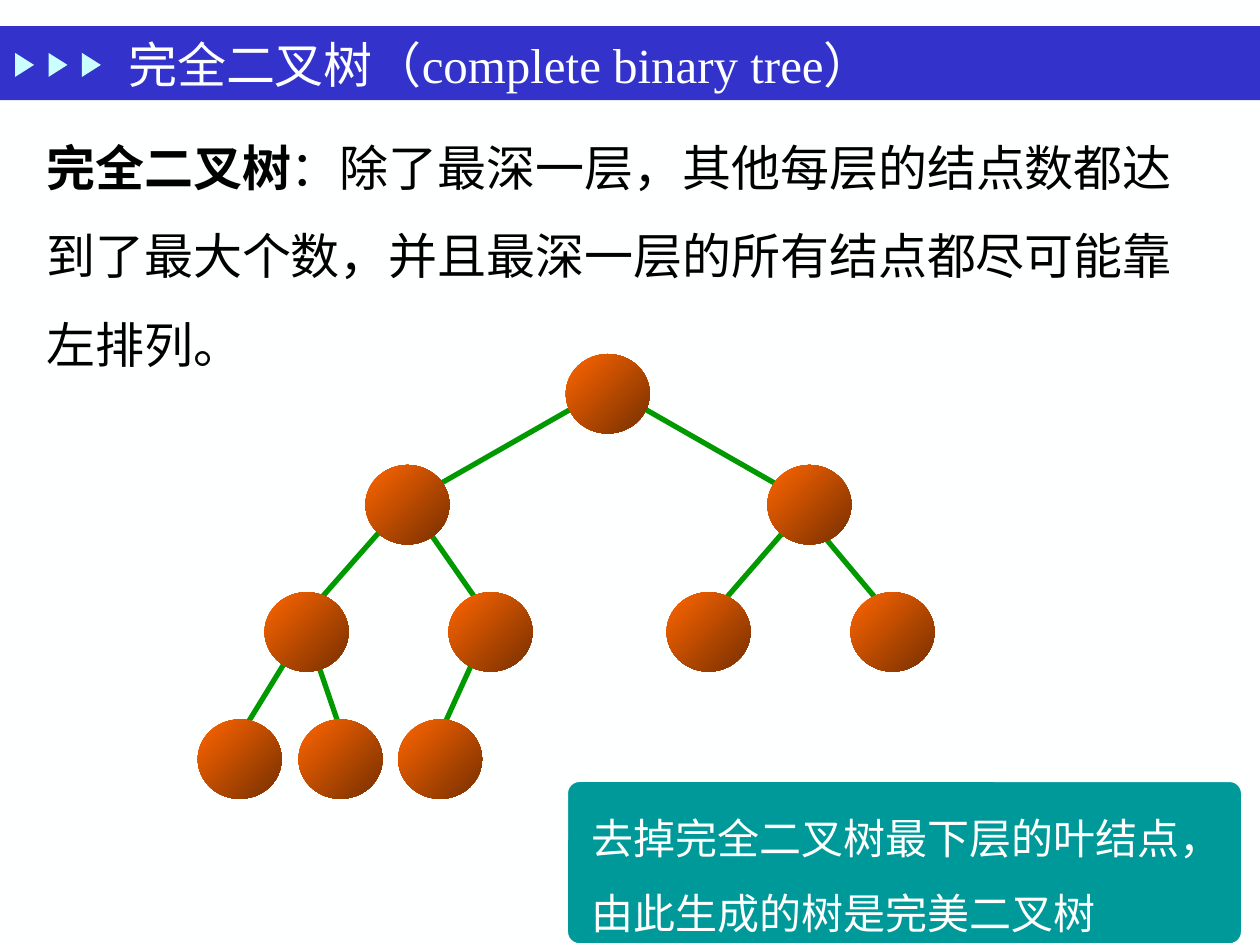
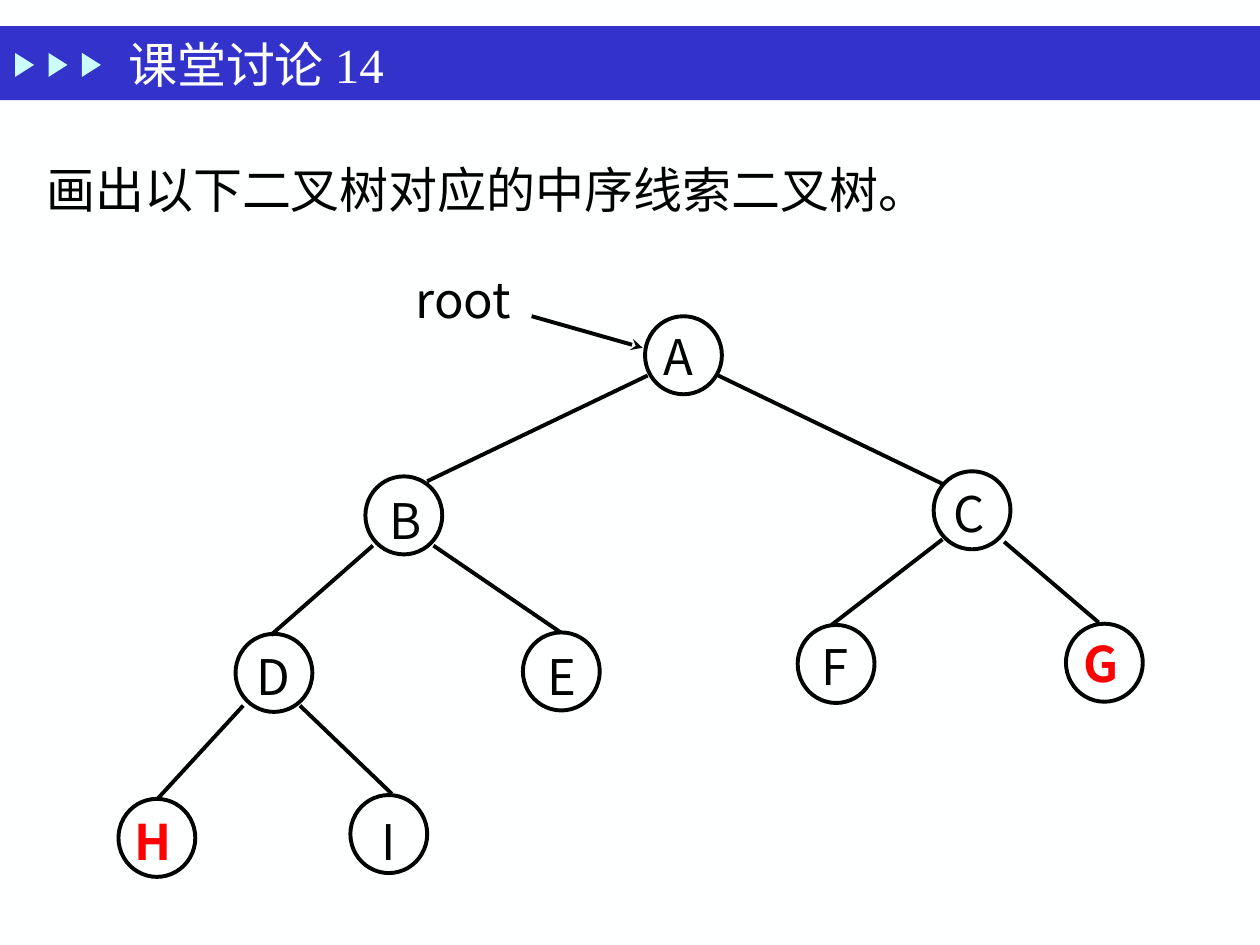
from lxml import etree
from pptx import Presentation
from pptx import util as u
from pptx.dml.color import RGBColor
from pptx.enum import shapes, text
from pptx.oxml.ns import qn

Pt = u.Pt
SANS, SERIF = "Noto Sans CJK SC", "Times New Roman"
WHITE, BLACK, RED = "FEFFFF", "000000", "FF0000"
BLUE, CYAN, TEAL, GREEN = "3333CC", "CBFFFF", "009999", "009900"
ORANGE, BROWN = "FF6600", "762F00"
color = RGBColor.from_string


def write(shape, runs, size=28, name=SANS, ink=BLACK, spacing=1.0, margins=(7.2, 3.6), **frame_format):
    """Fill a shape with one paragraph; runs are (words, bold) pairs."""
    frame = shape.text_frame
    sides = {"margin_left": margins[0], "margin_right": margins[0],
             "margin_top": margins[1], "margin_bottom": margins[1]}
    for key, value in sides.items():
        setattr(frame, key, Pt(value))
    for key, value in ({"word_wrap": True} | frame_format).items():
        setattr(frame, key, value)
    paragraph = frame.paragraphs[0]
    paragraph.alignment = text.PP_ALIGN.LEFT
    paragraph.line_spacing = spacing
    for words, bold in runs:
        run = paragraph.add_run()
        run.text = words
        for key, value in {"size": Pt(size), "name": name, "bold": bold}.items():
            setattr(run.font, key, value)
        run.font.color.rgb = color(ink)
        east_asian = etree.SubElement(run.font._element, qn("a:ea"))
        east_asian.set("typeface", SANS)


def add_line(slide, ends, ink, width):
    line = slide.shapes.add_connector(shapes.MSO_CONNECTOR.STRAIGHT, *map(Pt, ends))
    line.line.color.rgb = color(ink)
    line.line.width = Pt(width)
    etree.SubElement(line._element.spPr, qn("a:effectLst"))
    return line


presentation = Presentation()
presentation.slide_width, presentation.slide_height = Pt(720), Pt(540)

# Shared background, title band, arrows and title
titles = ["完全二叉树（complete binary tree）", "课堂讨论 14"]
slides = []
for title in titles:
    slide = presentation.slides.add_slide(presentation.slide_layouts[6])
    slide.background.fill.solid()
    slide.background.fill.fore_color.rgb = color(WHITE)
    shape_kind = shapes.MSO_SHAPE
    decorations = [(shape_kind.RECTANGLE, (0, 15, 720, 42.3), 0, BLUE)]
    decorations += [(shape_kind.ISOSCELES_TRIANGLE, (7.2 + 19.1 * i, 31.7, 13.7, 10.8), 90, CYAN)
                    for i in range(3)]
    for kind, place, rotation, fill in decorations:
        shape = slide.shapes.add_shape(kind, *map(Pt, place))
        shape.rotation = rotation
        shape.shadow.inherit = False
        shape.fill.solid()
        shape.fill.fore_color.rgb = color(fill)
        shape.line.fill.background()
    title_box = slide.shapes.add_textbox(Pt(66.2), Pt(18.7), Pt(504), Pt(36))
    write(title_box, [(title, False)], name=SERIF, ink=WHITE,
          vertical_anchor=text.MSO_ANCHOR.MIDDLE)
    slides.append(slide)
complete_slide, discussion_slide = slides

# Complete binary tree
definition = complete_slide.shapes.add_textbox(Pt(19.4), Pt(58.3), Pt(680.4), Pt(160.6))
write(definition, [("完全二叉树", True),
                   ("：除了最深一层，其他每层的结点数都达到了最大个数，"
                    "并且最深一层的所有结点都尽可能靠左排列。", False)], spacing=1.5)

complete_edges = [
    (361.4, 229.7, 457.2, 284.4), (333.4, 229.7, 237.6, 284.4),
    (467.3, 302.4, 505.4, 347.8), (457.2, 293, 409.7, 347.8),
    (237.6, 293, 275.8, 347.8), (218.2, 302.4, 170.6, 356.4),
    (275.8, 365.8, 247, 429.1), (180, 374.4, 198.7, 429.1),
    (170.6, 365.8, 131.8, 429.1),
]
for ends in complete_edges:
    add_line(complete_slide, ends, GREEN, 3)

node_levels = [
    (202.3, [323.3]),
    (265.7, [208.8, 438.5]),
    (338.4, [151.2, 256.3, 380.9, 486]),
    (411.1, [113, 170.6, 227.5]),
]
for top, lefts in node_levels:
    for left in lefts:
        node = complete_slide.shapes.add_shape(shapes.MSO_SHAPE.OVAL, Pt(left), Pt(top), Pt(48), Pt(45.4))
        node.shadow.inherit = False
        node.fill.gradient()
        node.fill.gradient_angle = 315
        for stop, ink, position in zip(node.fill.gradient_stops, (ORANGE, BROWN), (0, 1)):
            stop.color.rgb = color(ink)
            stop.position = position
        node.line.fill.background()

callout = complete_slide.shapes.add_shape(
    shapes.MSO_SHAPE.ROUNDED_RECTANGLE, Pt(323.6), Pt(445.9), Pt(386.6), Pt(94.1))
callout.adjustments[0] = 0.08
callout.shadow.inherit = False
callout.fill.solid()
callout.fill.fore_color.rgb = color(TEAL)
callout.line.color.rgb = color(WHITE)
callout.line.width = Pt(2)
write(callout, [("去掉完全二叉树最下层的叶结点，由此生成的树是完美二叉树", False)],
      size=24, ink=WHITE, spacing=1.5, margins=(12.2, 12.2),
      vertical_anchor=text.MSO_ANCHOR.MIDDLE)

# Class discussion
question = discussion_slide.shapes.add_textbox(Pt(19.4), Pt(70.6), Pt(680.4), Pt(57.6))
write(question, [("画出以下二叉树对应的中序线索二叉树。", False)], name=SERIF, spacing=1.5)

# letter: circle left and top, label left, top and width
lettered_nodes = {
    "A": (368.6, 180.7, 372.2, 182.9, 35.3),
    "B": (208.8, 272.2, 215.3, 276.5, 33.1),
    "C": (533.5, 269.3, 537.8, 272.9, 33.1),
    "D": (134.6, 362.2, 139.7, 365.8, 36),
    "E": (298.8, 361.4, 306, 365.8, 30.2),
    "F": (455.8, 357.1, 462.2, 360, 30.2),
    "G": (609.1, 356.4, 612, 358.6, 36.7),
    "H": (67.7, 456.5, 69.8, 460.1, 38.2),
    "I": (200.2, 454.3, 211, 460.1, 23),
}
labels = [("root", 230.4, 150.5, 71.3)]
for letter, (left, top, *label_place) in lettered_nodes.items():
    circle = discussion_slide.shapes.add_shape(
        shapes.MSO_SHAPE.OVAL, Pt(left), Pt(top), Pt(43.9), Pt(44.6))
    circle.shadow.inherit = False
    circle.fill.background()
    circle.line.color.rgb = color(BLACK)
    circle.line.width = Pt(2.25)
    labels.append((letter, *label_place))

for label, left, top, width in labels:
    highlighted = label in ("G", "H")
    label_box = discussion_slide.shapes.add_textbox(Pt(left), Pt(top), Pt(width), Pt(41))
    write(label_box, [(label, highlighted)], ink=RED if highlighted else BLACK,
          word_wrap=False, auto_size=text.MSO_AUTO_SIZE.SHAPE_TO_FIT_TEXT)

discussion_edges = [
    (370.1, 214.6, 244.1, 275), (410.4, 214.6, 538.6, 276.5),
    (213.1, 311.8, 154.8, 362.9), (247.7, 311.8, 320.4, 361.4),
    (538.6, 308.2, 475.2, 357.1), (573.8, 309.6, 627.8, 355.7),
    (139, 403.2, 90, 456.5), (171.4, 403.2, 223.9, 453.6),
]
for ends in discussion_edges:
    add_line(discussion_slide, ends, BLACK, 2.25)

root_arrow = add_line(discussion_slide, (303.8, 180.7, 367.2, 198.7), BLACK, 2.25)
etree.SubElement(root_arrow.line._get_or_add_ln(), qn("a:tailEnd")).set("type", "stealth")

presentation.save("out.pptx")
